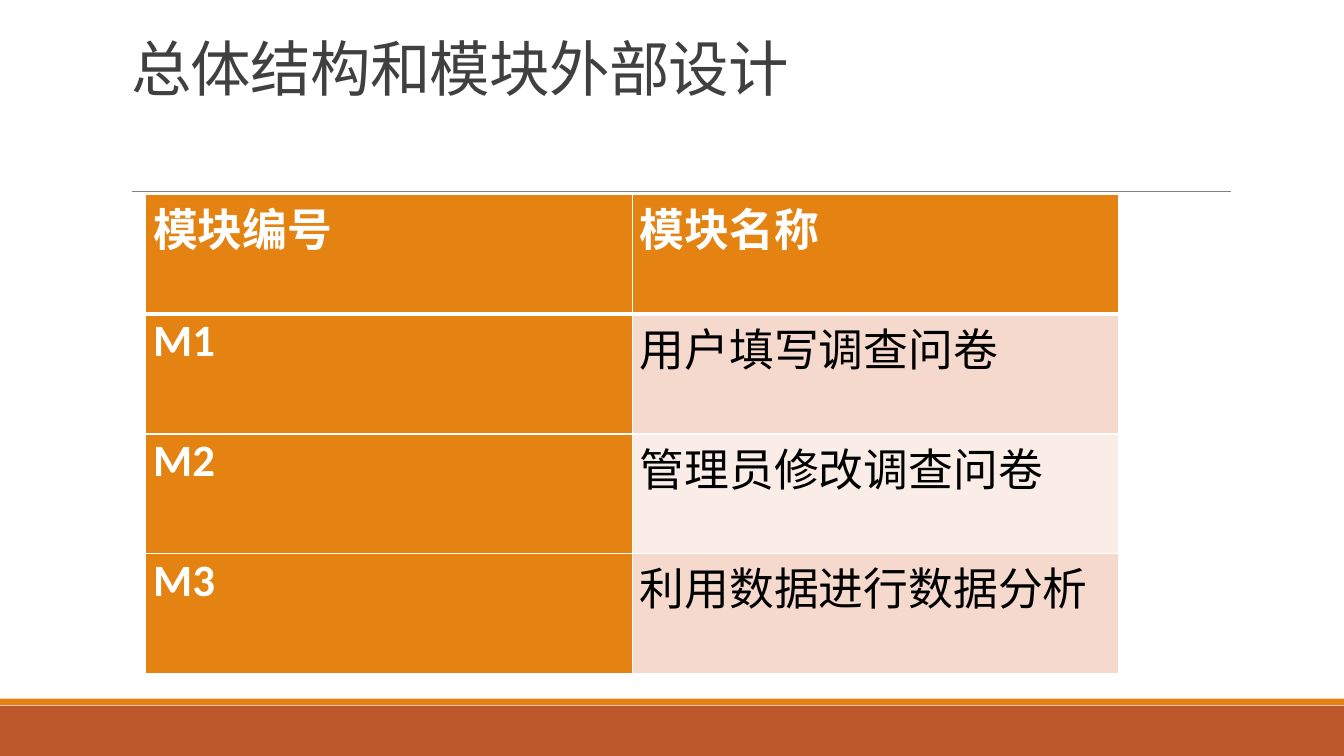
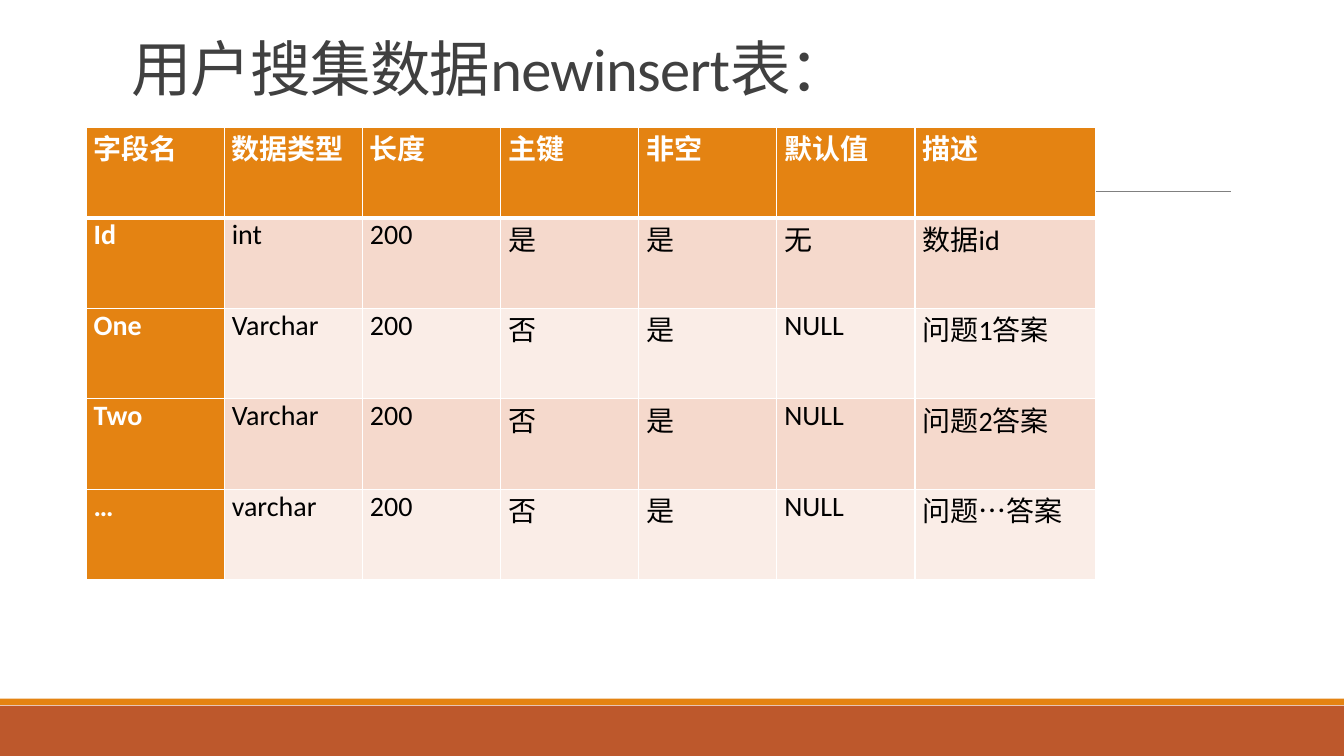
import dataclasses
import typing

import lxml.etree
import pptx
import pptx.dml.color
import pptx.enum.lang
import pptx.enum.shapes
import pptx.enum.text
import pptx.oxml
import pptx.oxml.ns
import pptx.util

Pt = pptx.util.Pt
FONT = "Calibri"
WHITE = "FFFFFF"
BLACK = "000000"
TITLE_GREY = "404040"
RULE_GREY = "808080"
ORANGE = "E48312"
RUST = "BD582C"
ROW_TINTS = ("F5D9CC", "FAEDE7")
SLIDE_WIDTH = 960
SLIDE_HEIGHT = 540


@dataclasses.dataclass(frozen=True)
class Band:
    top: float
    height: float
    color: str


@dataclasses.dataclass(frozen=True)
class TableSlide:
    title: str
    left: float
    top: float
    column_widths: tuple[float, ...]
    row_height: float
    text_size: float
    rows: tuple[tuple[str, ...], ...]


BANDS = (Band(504, 36, RUST), Band(499, 4.6, ORANGE))

TABLE_SLIDES = (
    TableSlide(
        title="总体结构和模块外部设计",
        left=104,
        top=139,
        column_widths=(347.5,) * 2,
        row_height=85.5,
        text_size=32,
        rows=(
            ("模块编号", "模块名称"),
            ("M1", "用户填写调查问卷"),
            ("M2", "管理员修改调查问卷"),
            ("M3", "利用数据进行数据分析"),
        ),
    ),
    TableSlide(
        title="用户搜集数据newinsert表：",
        left=61.5,
        top=91,
        column_widths=(98.7,) * 6 + (129,),
        row_height=64.65,
        text_size=20,
        rows=(
            ("字段名", "数据类型", "长度", "主键", "非空", "默认值", "描述"),
            ("Id", "int", "200", "是", "是", "无", "数据id"),
            ("One", "Varchar", "200", "否", "是", "NULL", "问题1答案"),
            ("Two", "Varchar", "200", "否", "是", "NULL", "问题2答案"),
            ("…", "varchar", "200", "否", "是", "NULL", "问题…答案"),
        ),
    ),
)


def rgb(color: str) -> pptx.dml.color.RGBColor:
    return pptx.dml.color.RGBColor.from_string(color)


def fill_solid(target: typing.Any, color: str) -> None:
    target.fill.solid()
    target.fill.fore_color.rgb = rgb(color)


def write_text(
    text_frame: typing.Any,
    text: str,
    *,
    size: float,
    color: str,
    bold: bool = False,
    alignment: pptx.enum.text.PP_ALIGN = pptx.enum.text.PP_ALIGN.LEFT,
    line_spacing: float = 1.0,
    letter_spacing: float = 0,
) -> None:
    paragraph = text_frame.paragraphs[0]
    paragraph.alignment = alignment
    paragraph.line_spacing = line_spacing
    run = paragraph.add_run()
    run.text = text
    run.font.name = FONT
    run.font.size = Pt(size)
    run.font.bold = bold
    run.font.color.rgb = rgb(color)
    run.font.language_id = pptx.enum.lang.MSO_LANGUAGE_ID.SIMPLIFIED_CHINESE
    if letter_spacing:
        run.font._element.set("spc", str(round(letter_spacing * 100)))


def add_frame(slide: typing.Any) -> None:
    for band in BANDS:
        shape = slide.shapes.add_shape(
            pptx.enum.shapes.MSO_SHAPE.RECTANGLE,
            Pt(0), Pt(band.top), Pt(SLIDE_WIDTH), Pt(band.height),
        )
        shape.shadow.inherit = False
        fill_solid(shape, band.color)
        shape.line.fill.background()
    rule = slide.shapes.add_connector(
        pptx.enum.shapes.MSO_CONNECTOR.STRAIGHT,
        Pt(94.3), Pt(136.8), Pt(879), Pt(136.8),
    )
    rule.line.color.rgb = rgb(RULE_GREY)
    rule.line.width = Pt(0.5)
    lxml.etree.SubElement(
        rule._element.spPr, pptx.oxml.ns.qn("a:effectLst")
    )


def set_title(slide: typing.Any, text: str) -> None:
    title = slide.shapes.title
    title.left, title.top = Pt(86.4), Pt(22.3)
    title.width, title.height = Pt(792), Pt(55.4)
    title.text_frame.word_wrap = True
    title.text_frame.auto_size = pptx.enum.text.MSO_AUTO_SIZE.NONE
    title.text_frame.vertical_anchor = pptx.enum.text.MSO_ANCHOR.BOTTOM
    write_text(
        title.text_frame, text, size=43.2, color=TITLE_GREY,
        line_spacing=0.85, letter_spacing=-0.5,
    )


def set_borders(cell: typing.Any, row_index: int) -> None:
    widths = {
        "lnL": 1,
        "lnR": 1,
        "lnT": 3 if row_index == 1 else 1,
        "lnB": 3 if row_index == 0 else 1,
    }
    properties = cell._tc.get_or_add_tcPr()
    for tag, width in widths.items():
        properties.append(pptx.oxml.parse_xml(
            f'<a:{tag} {pptx.oxml.ns.nsdecls("a")} w="{Pt(width)}">'
            f'<a:solidFill><a:srgbClr val="{WHITE}"/></a:solidFill>'
            f'</a:{tag}>'
        ))


def format_cell(
    cell: typing.Any, text: str, row_index: int, column_index: int, size: float
) -> None:
    is_heading = row_index == 0 or column_index == 0
    cell.margin_left = cell.margin_right = Pt(5.4)
    cell.margin_top = cell.margin_bottom = Pt(0)
    set_borders(cell, row_index)
    fill_solid(cell, ORANGE if is_heading else ROW_TINTS[(row_index - 1) % 2])
    write_text(
        cell.text_frame, text, size=size, bold=is_heading,
        color=WHITE if is_heading else BLACK,
        alignment=pptx.enum.text.PP_ALIGN.JUSTIFY,
    )


def add_table(slide: typing.Any, content: TableSlide) -> None:
    table = slide.shapes.add_table(
        len(content.rows), len(content.column_widths),
        Pt(content.left), Pt(content.top),
        Pt(sum(content.column_widths)),
        Pt(content.row_height * len(content.rows)),
    ).table
    table.first_col = True
    for column, width in zip(table.columns, content.column_widths):
        column.width = Pt(width)
    for row_index, texts in enumerate(content.rows):
        table.rows[row_index].height = Pt(content.row_height)
        for column_index, text in enumerate(texts):
            format_cell(
                table.cell(row_index, column_index), text,
                row_index, column_index, content.text_size,
            )


def main() -> None:
    presentation = pptx.Presentation()
    presentation.slide_width = Pt(SLIDE_WIDTH)
    presentation.slide_height = Pt(SLIDE_HEIGHT)
    title_only = presentation.slide_layouts.get_by_name("Title Only")
    for content in TABLE_SLIDES:
        slide = presentation.slides.add_slide(title_only)
        add_frame(slide)
        set_title(slide, content.title)
        add_table(slide, content)
    presentation.save("out.pptx")


if __name__ == "__main__":
    main()
